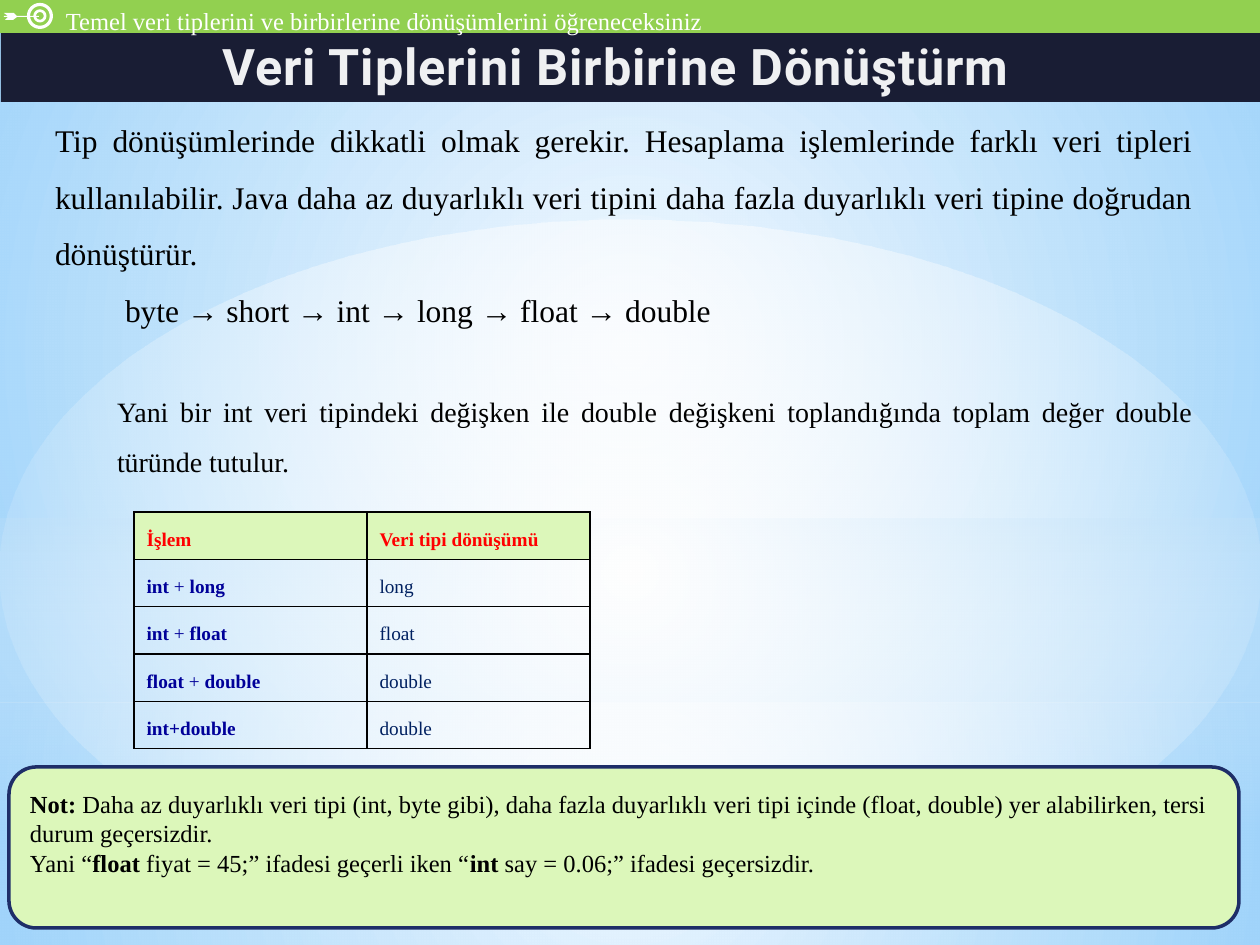
import math

from lxml import etree
from pptx import Presentation
from pptx.dml.color import RGBColor
from pptx.enum.shapes import MSO_SHAPE
from pptx.enum.text import MSO_ANCHOR, MSO_AUTO_SIZE, PP_ALIGN
from pptx.oxml.ns import qn
from pptx.util import Emu, Pt

RECTANGLE, OVAL, ROUNDED = MSO_SHAPE.RECTANGLE, MSO_SHAPE.OVAL, MSO_SHAPE.ROUNDED_RECTANGLE
MIDDLE, GROW = MSO_ANCHOR.MIDDLE, MSO_AUTO_SIZE.SHAPE_TO_FIT_TEXT
LEFT, CENTER, JUSTIFY = PP_ALIGN.LEFT, PP_ALIGN.CENTER, PP_ALIGN.JUSTIFY

WHITE = RGBColor(0xFF, 0xFF, 0xFF)
BLACK = RGBColor(0x00, 0x00, 0x00)
SKY = RGBColor(0x9C, 0xD4, 0xFF)
DEEP_SKY = RGBColor(0x5B, 0xB9, 0xFF)
PALE_BLUE = RGBColor(0xB4, 0xDC, 0xFA)
NAVY = RGBColor(0x19, 0x1D, 0x34)
TITLE_WHITE = RGBColor(0xFB, 0xFC, 0xFD)
NOTE_BORDER = RGBColor(0x1E, 0x2E, 0x68)
PALE_GREEN = RGBColor(0xDC, 0xF7, 0xBA)
GREEN = RGBColor(0x92, 0xD0, 0x50)
RED = RGBColor(0xFF, 0x00, 0x00)
TYPE_BLUE = RGBColor(0x00, 0x00, 0x99)
RESULT_BLUE = RGBColor(0x00, 0x20, 0x60)

SERIF, SANS = "Times New Roman", "Roboto"
INSETS = (13, 6, 13, 6)
OPERATIONS = [
    (["int", " + ", "long"], "long"),
    (["int", " + ", "float"], "float"),
    (["float", " + ", "double"], "double"),
    (["int+double"], "double"),
]


def px(value):
    return Emu(round(value * 914400 / 126))


def set_values(target, values):
    for name, value in values.items():
        setattr(target, name, value)


def set_gradient(fill, owner, stops, focus=None):
    """Stops are (position, colour, opacity); without a focus the gradient runs downwards."""
    fill.gradient()
    gradient = owner.find(".//" + qn("a:gradFill"))
    gradient.clear()
    gradient.set("rotWithShape", "1")
    stop_list = etree.SubElement(gradient, qn("a:gsLst"))
    for position, color, opacity in stops:
        stop = etree.SubElement(stop_list, qn("a:gs"), pos=str(position * 1000))
        set_opacity(etree.SubElement(stop, qn("a:srgbClr"), val=str(color)), opacity)
    if focus is None:
        etree.SubElement(gradient, qn("a:lin"), ang="5400000", scaled="0")
    else:
        path = etree.SubElement(gradient, qn("a:path"), path="circle")
        sides = {side: str(value * 1000) for side, value in zip("ltrb", focus)}
        etree.SubElement(path, qn("a:fillToRect"), **sides)


def set_opacity(color_element, opacity):
    if opacity < 100:
        etree.SubElement(color_element, qn("a:alpha"), val=str(opacity * 1000))


def paint(shape, color):
    shape.shadow.inherit = False
    shape.line.fill.background()
    if color is not None:
        shape.fill.solid()
        shape.fill.fore_color.rgb = color
    return shape


def add_shape(slide, kind, box, color=None):
    return paint(slide.shapes.add_shape(kind, *map(px, box)), color)


def add_outline(slide, contours, color):
    start, *_ = contours[0]
    builder = slide.shapes.build_freeform(px(start[0]), px(start[1]))
    for number, contour in enumerate(contours):
        points = [(px(x), px(y)) for x, y in contour]
        if number:
            builder.move_to(*points[0])
        builder.add_line_segments(points[1:], close=True)
    return paint(builder.convert_to_shape(), color)


def set_frame(frame, insets, **values):
    names = ("margin_left", "margin_top", "margin_right", "margin_bottom")
    set_values(frame, dict(zip(names, map(px, insets)), word_wrap=True, **values))


def write(paragraph, pieces, size, color, font=SERIF, **values):
    """Pieces are (text, bold) pairs."""
    set_values(paragraph, values)
    for text, bold in pieces:
        run = paragraph.add_run()
        run.text = text
        set_values(run.font, {"size": Pt(size), "name": font, "bold": bold})
        run.font.color.rgb = color


def add_text_box(slide, box):
    frame = slide.shapes.add_textbox(*map(px, box)).text_frame
    set_frame(frame, INSETS, auto_size=GROW)
    return frame


def add_backdrop(slide):
    set_gradient(slide.background.fill, slide._element,
                 [(0, SKY, 100), (100, DEEP_SKY, 100)], (50, 25, 50, 75))
    center = (50, 50, 50, 50)
    layers = [
        (RECTANGLE, (0, 703, 1260, 242), [(0, WHITE, 91), (100, PALE_BLUE, 79)], center),
        (RECTANGLE, (0, 0, 1260, 703), [(0, WHITE, 89), (100, PALE_BLUE, 79)], center),
        (RECTANGLE, (0, 519, 1260, 315), [(0, PALE_BLUE, 60), (100, WHITE, 0)], None),
        (OVAL, (0, 220, 1260, 703), [(0, WHITE, 100), (100, WHITE, 0)], center),
    ]
    for kind, box, stops, focus in layers:
        shape = add_shape(slide, kind, box)
        set_gradient(shape.fill, shape._element.spPr, stops, focus)


def add_title(slide):
    frame = add_shape(slide, RECTANGLE, (1, 29, 1259, 73), NAVY).text_frame
    set_frame(frame, (0, 0, 0, 0), vertical_anchor=MIDDLE)
    paragraph = frame.paragraphs[0]
    write(paragraph, [("Veri Tiplerini Birbirine Dönüştürme", True)], 28.8,
          TITLE_WHITE, SANS, alignment=CENTER)
    properties = paragraph.runs[0]._r.get_or_add_rPr()
    properties.set("spc", "50")
    set_opacity(properties.find(".//" + qn("a:srgbClr")), 95)


def add_note(slide):
    note = add_shape(slide, ROUNDED, (9, 767, 1230, 161), PALE_GREEN)
    note.adjustments[0] = 0.17
    note.line.color.rgb = NOTE_BORDER
    note.line.width = Pt(2)
    frame = note.text_frame
    set_frame(frame, (13, 6, 13, 35), vertical_anchor=MIDDLE)
    write(frame.paragraphs[0], [
        ("Not: ", True),
        ("Daha az duyarlıklı veri tipi (int, byte gibi), daha fazla duyarlıklı veri tipi "
         "içinde (float, double) yer alabilirken, tersi durum geçersizdir.", False),
    ], 14, BLACK, alignment=LEFT)
    write(frame.add_paragraph(), [
        ("Yani “", False), ("float", True),
        (" fiyat = 45;” ifadesi geçerli iken “", False), ("int", True),
        (" say = 0.06;” ifadesi geçersizdir.", False),
    ], 14, BLACK, alignment=LEFT)


def add_explanation(slide):
    frame = add_text_box(slide, (42, 96, 1164, 391))
    # Text, size, left indent in pixels, space before in points
    rows = [
        ("Tip dönüşümlerinde dikkatli olmak gerekir. Hesaplama işlemlerinde farklı veri "
         "tipleri kullanılabilir. Java daha az duyarlıklı veri tipini daha fazla duyarlıklı "
         "veri tipine doğrudan dönüştürür.", 18, 0, 0),
        ("byte → short → int → long → float → double", 18, 70, 0),
        ("Yani bir int veri tipindeki değişken ile double değişkeni toplandığında toplam "
         "değer double türünde tutulur.", 16, 62, 28),
    ]
    for number, (text, size, indent, before) in enumerate(rows):
        paragraph = frame.add_paragraph() if number else frame.paragraphs[0]
        write(paragraph, [(text, False)], size, BLACK, alignment=JUSTIFY,
              line_spacing=1.5, space_before=Pt(before))
        properties = paragraph._p.get_or_add_pPr()
        properties.set("marL", str(px(indent)))
        properties.set("indent", "0")


def fill_cell(cell, pieces, color, fill=None):
    set_frame(cell.text_frame, (9, 6, 9, 6))
    write(cell.text_frame.paragraphs[0], pieces, 11, color,
          alignment=JUSTIFY, line_spacing=1.5)
    properties = cell._tc.get_or_add_tcPr()
    for side in ("a:lnL", "a:lnR", "a:lnT", "a:lnB"):
        border = etree.SubElement(properties, qn(side), w=str(Pt(0.96)))
        solid = etree.SubElement(border, qn("a:solidFill"))
        etree.SubElement(solid, qn("a:srgbClr"), val=str(BLACK))
    if fill is None:
        cell.fill.background()
    else:
        cell.fill.solid()
        cell.fill.fore_color.rgb = fill


def add_conversion_table(slide):
    box = (134, 512, 456, 210)
    table = slide.shapes.add_table(len(OPERATIONS) + 1, 2, *map(px, box)).table
    set_values(table, {"first_row": False, "horz_banding": False})
    for column, width in zip(table.columns, (233, 223)):
        column.width = px(width)
    for column, heading in enumerate(("İşlem", "Veri tipi dönüşümü")):
        fill_cell(table.cell(0, column), [(heading, True)], RED, PALE_GREEN)
    for row, (operation, result) in enumerate(OPERATIONS, 1):
        pieces = [(text, text != " + ") for text in operation]
        fill_cell(table.cell(row, 0), pieces, TYPE_BLUE)
        fill_cell(table.cell(row, 1), [(result, False)], RESULT_BLUE)


def add_target_icon(slide):
    center_x, center_y, steps = 40, 16, 48
    angles = [2 * math.pi * step / steps for step in range(steps)]
    rings = [[(center_x + radius * math.cos(angle), center_y + radius * math.sin(angle))
              for angle in angles] for radius in (13, 9.8, 6.5, 3.8)]
    add_outline(slide, rings, WHITE)
    arrow = [(4, 13), (14, 13), (17, 16), (39, 16), (39, 17), (17, 17),
             (13, 20), (5, 20), (8, 17), (4, 17), (4, 16), (8, 16)]
    add_outline(slide, [arrow], WHITE)


def add_goal_banner(slide):
    add_shape(slide, RECTANGLE, (0, 0, 1260, 33), GREEN)
    add_target_icon(slide)
    frame = add_text_box(slide, (53, 0, 1061, 42))
    goal = "Temel veri tiplerini ve birbirlerine dönüşümlerini öğreneceksiniz"
    write(frame.paragraphs[0], [(goal, False)], 14, WHITE)


def main():
    presentation = Presentation()
    set_values(presentation, {"slide_width": px(1260), "slide_height": px(945)})
    slide = presentation.slides.add_slide(presentation.slide_layouts[6])
    for add_part in (add_backdrop, add_title, add_note, add_explanation,
                     add_conversion_table, add_goal_banner):
        add_part(slide)
    presentation.save("out.pptx")


main()
